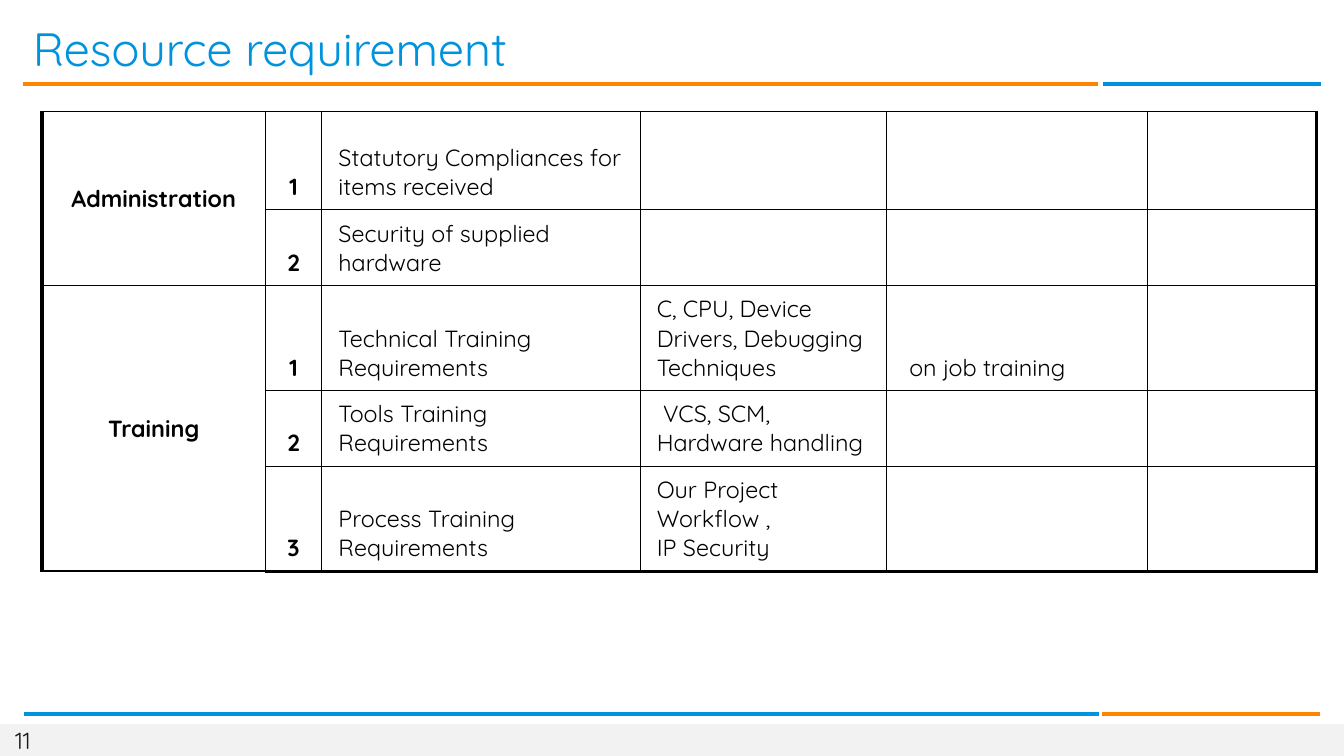
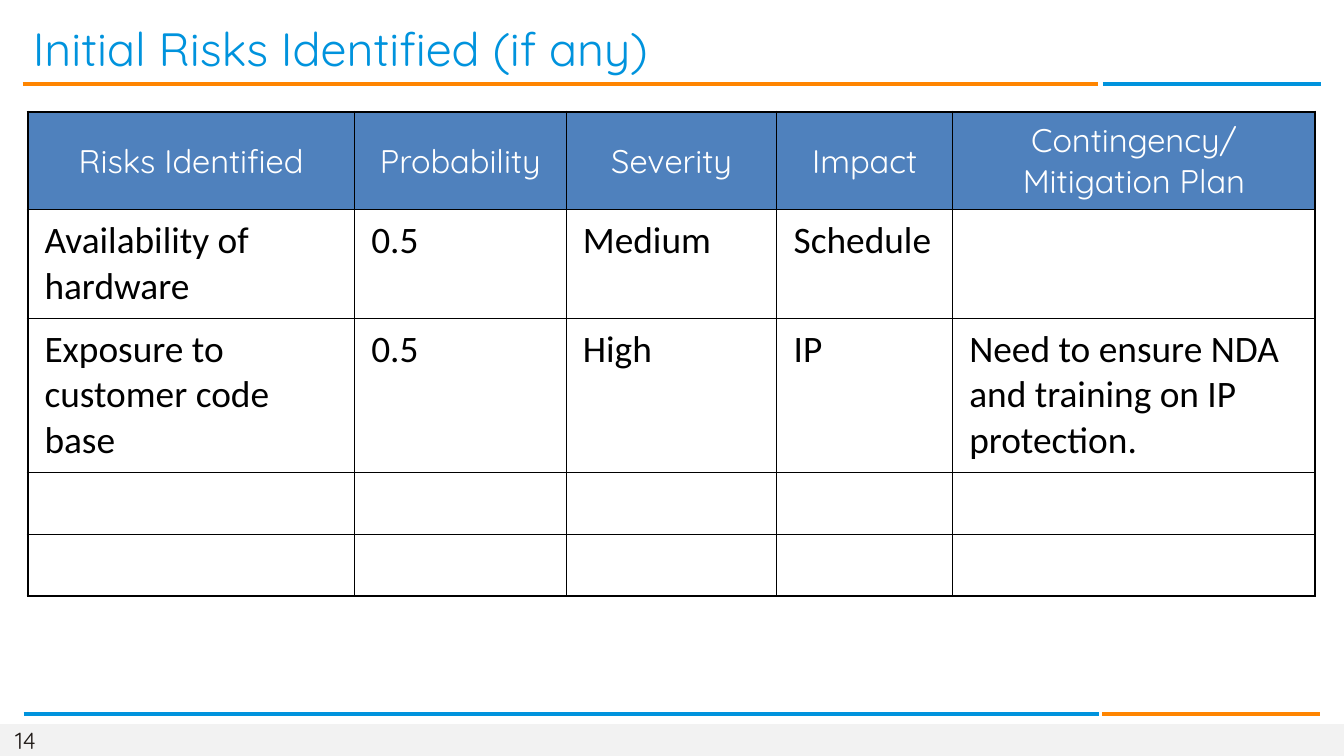
import pptx
import pptx.util
import pptx.dml.color
import pptx.enum.shapes
import pptx.enum.text
import pptx.oxml.ns
from lxml import etree

Inches = pptx.util.Inches
RGBColor = pptx.dml.color.RGBColor
ALIGN = pptx.enum.text.PP_ALIGN
ANCHOR = pptx.enum.text.MSO_ANCHOR
qn = pptx.oxml.ns.qn

# Shared style
BLUE = RGBColor(0x00, 0x93, 0xDD)
ORANGE = RGBColor(0xFF, 0x85, 0x00)
FOOTER_GREY = RGBColor(0xF2, 0xF2, 0xF2)
PAGE_INK = RGBColor(0x1F, 0x1A, 0x17)
HEADER_BLUE = RGBColor(0x4F, 0x81, 0xBD)
BLACK = RGBColor(0x00, 0x00, 0x00)
WHITE = RGBColor(0xFF, 0xFF, 0xFF)
BRAND_FONT = "Quicksand"
TABLE_TOP = 1.33

# Resource table content
RESOURCE_COLUMNS = [2.66, 0.67, 3.79, 2.93, 3.11, 2.01]
RESOURCE_HEIGHTS = [1.17, 0.9, 1.25, 0.9, 1.25]
RESOURCES = [
    ["Administration", "1", "Statutory Compliances for items received", "", "", ""],
    ["", "2", "Security of supplied hardware", "", "", ""],
    ["Training", "1", "Technical Training Requirements",
     "C, CPU, Device Drivers, Debugging Techniques", "\u00a0on job training", ""],
    ["", "2", "Tools Training Requirements", "\u00a0VCS, SCM, Hardware handling", "", ""],
    ["", "3", "Process Training Requirements",
     "Our Project Workflow\u00a0,\nIP Security", "", ""],
]
RESOURCE_GROUPS = [(0, 1), (2, 4)]

# Risk table content
RISK_COLUMNS = [3.89, 2.52, 2.51, 2.09, 4.32]
RISK_HEIGHTS = [1.17, 1.29, 1.83, 0.74, 0.74]
RISKS = [
    ["Risks Identified", "Probability", "Severity", "Impact",
     "Contingency/\nMitigation Plan"],
    ["Availability of hardware", "0.5", "Medium", "Schedule", ""],
    ["Exposure to customer code base", "0.5", "High", "IP",
     "Need to ensure NDA and training on IP protection."],
    [""] * 5,
    [""] * 5,
]


def write_text(frame, text, size, color, font=BRAND_FONT, bold=False, align=ALIGN.LEFT):
    """Fill a text frame, one paragraph for each line of text."""
    for index, line in enumerate(text.split("\n")):
        paragraph = frame.add_paragraph() if index else frame.paragraphs[0]
        paragraph.alignment = align
        run = paragraph.add_run()
        run.text = line
        run.font.name = font
        run.font.size = pptx.util.Pt(size)
        run.font.bold = bold
        run.font.color.rgb = color


def set_margins(box, left, top, right, bottom):
    box.margin_left, box.margin_top = Inches(left), Inches(top)
    box.margin_right, box.margin_bottom = Inches(right), Inches(bottom)


def add_rule(slide, left, right, y, color):
    rule = slide.shapes.add_connector(
        pptx.enum.shapes.MSO_CONNECTOR.STRAIGHT,
        Inches(left), Inches(y), Inches(right), Inches(y))
    rule.line.color.rgb = color
    rule.line.width = pptx.util.Pt(3)
    etree.SubElement(rule._element.spPr, qn("a:effectLst"))


def add_page(deck, heading, number):
    """Add a slide with the shared footer, rules and title style."""
    slide = deck.slides.add_slide(deck.slide_layouts[5])

    # Footer band and page number
    footer = slide.shapes.add_shape(
        pptx.enum.shapes.MSO_SHAPE.RECTANGLE,
        Inches(0), Inches(8.62), Inches(16), Inches(0.38))
    footer.shadow.inherit = False
    footer.fill.solid()
    footer.fill.fore_color.rgb = FOOTER_GREY
    footer.line.fill.background()
    page = slide.shapes.add_textbox(
        Inches(0.18), Inches(8.64), Inches(0.34), Inches(0.34)).text_frame
    set_margins(page, 0, 0, 0, 0)
    page.word_wrap = False
    page.vertical_anchor = ANCHOR.MIDDLE
    write_text(page, str(number), size=20, color=PAGE_INK)

    # Two-colour rules
    add_rule(slide, 0.27, 13.07, 1, ORANGE)
    add_rule(slide, 13.13, 15.73, 1, BLUE)
    add_rule(slide, 0.28, 13.08, 8.5, BLUE)
    add_rule(slide, 13.12, 15.72, 8.5, ORANGE)

    # Title
    title = slide.shapes.title
    title.left, title.top = Inches(0.17), Inches(0.22)
    title.width, title.height = Inches(14.33), Inches(0.7)
    frame = title.text_frame
    frame.auto_size = pptx.enum.text.MSO_AUTO_SIZE.NONE
    frame.vertical_anchor = ANCHOR.MIDDLE
    set_margins(frame, 0.22, 0.04, 0.07, 0.04)
    write_text(frame, heading, size=40, color=BLUE)
    return slide


def set_borders(cell, weights):
    """Draw the four cell borders; weights maps L, R, T, B to points."""
    properties = cell._tc.get_or_add_tcPr()
    for side in "LRTB":
        border = etree.SubElement(properties, qn("a:ln" + side),
                                  w=str(pptx.util.Pt(weights[side])))
        fill = etree.SubElement(border, qn("a:solidFill"))
        etree.SubElement(fill, qn("a:srgbClr"), val=str(BLACK))


def add_grid(slide, left, columns, heights, rows, outline, style, groups=()):
    """Add a bordered table; style(row, column) gives fill, anchor and text format."""
    grid = slide.shapes.add_table(
        len(rows), len(columns), Inches(left), Inches(TABLE_TOP),
        Inches(sum(columns)), Inches(sum(heights))).table
    grid.first_row = grid.horz_banding = False
    for column, width in zip(grid.columns, columns):
        column.width = Inches(width)
    for row, height in zip(grid.rows, heights):
        row.height = Inches(height)
    for first, last in groups:
        grid.cell(first, 0).merge(grid.cell(last, 0))

    for r, row in enumerate(rows):
        for c, text in enumerate(row):
            cell = grid.cell(r, c)
            bottom_row = r + (cell.span_height if cell.is_merge_origin else 1)
            edges = {"L": c == 0, "R": c == len(columns) - 1,
                     "T": r == 0, "B": bottom_row == len(rows)}
            weights = {side: outline[side] if outer else 1
                       for side, outer in edges.items()}
            if cell.is_merge_origin and edges["B"]:
                weights["B"] = 2.25
            set_borders(cell, weights)
            fill, anchor, text_format = style(r, c)
            if fill is None:
                cell.fill.background()
            else:
                cell.fill.solid()
                cell.fill.fore_color.rgb = fill
            set_margins(cell, 0.2, 0.1, 0.2, 0.1)
            cell.vertical_anchor = anchor
            if text:
                write_text(cell.text_frame, text, **text_format)


def resource_style(row, column):
    label = column < 2
    anchor = ANCHOR.MIDDLE if column == 0 else ANCHOR.BOTTOM
    return None, anchor, dict(size=20, color=BLACK, bold=label,
                              align=ALIGN.CENTER if label else ALIGN.LEFT)


def risk_style(row, column):
    if row == 0:
        return HEADER_BLUE, ANCHOR.MIDDLE, dict(size=28, color=WHITE, align=ALIGN.CENTER)
    return None, ANCHOR.TOP, dict(size=32, color=BLACK, font="Calibri")


def main():
    deck = pptx.Presentation()
    deck.slide_width, deck.slide_height = Inches(16), Inches(9)

    # Resources
    resources = add_page(deck, "Resource requirement", 11)
    add_grid(resources, 0.5, RESOURCE_COLUMNS, RESOURCE_HEIGHTS, RESOURCES,
             dict(L=3, R=3, T=1, B=3), resource_style, RESOURCE_GROUPS)

    # Risks
    risks = add_page(deck, "Initial Risks Identified (if any)", 14)
    add_grid(risks, 0.33, RISK_COLUMNS, RISK_HEIGHTS, RISKS,
             dict.fromkeys("LRTB", 2.25), risk_style)

    deck.save("out.pptx")


main()
